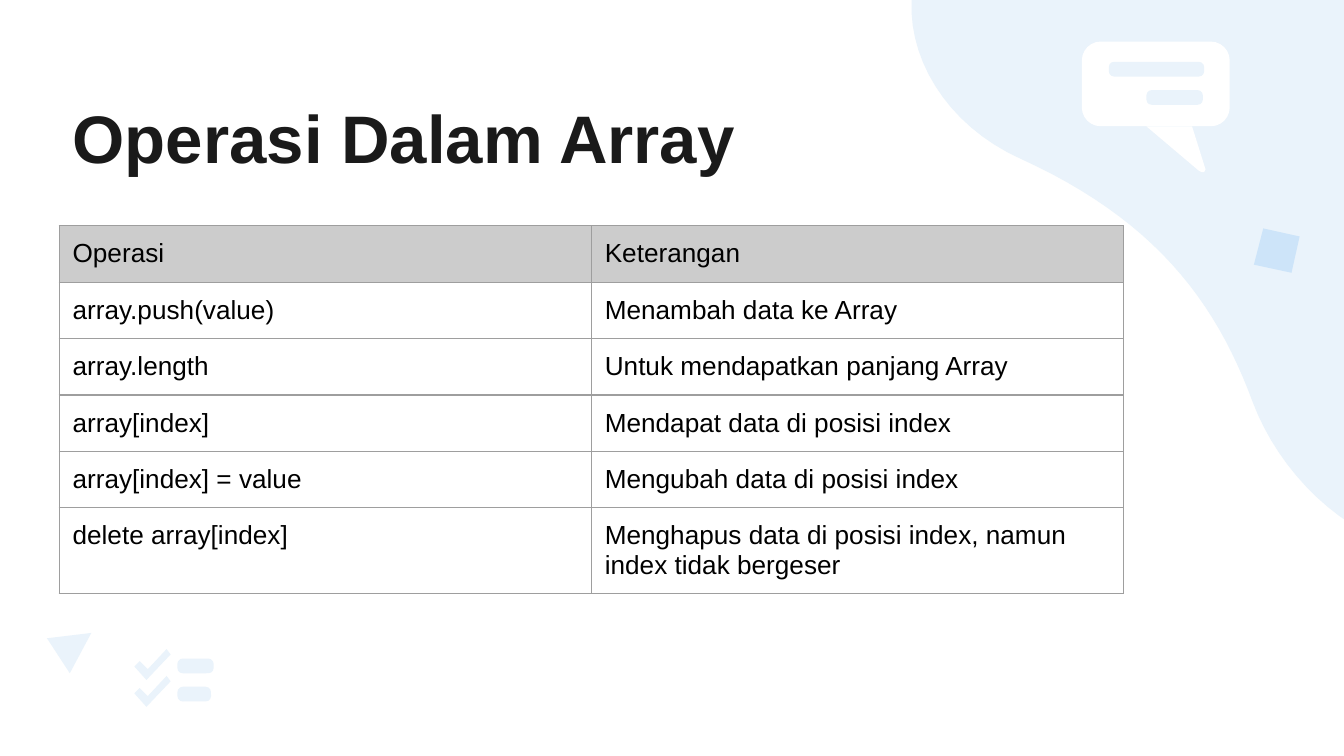
from lxml.etree import SubElement
from pptx import Presentation
from pptx.dml.color import RGBColor
from pptx.enum.shapes import MSO_SHAPE
from pptx.enum.text import MSO_ANCHOR, MSO_AUTO_SIZE, PP_ALIGN
from pptx.oxml.ns import qn
from pptx.util import Inches, Pt

WHITE = RGBColor(0xFF, 0xFF, 0xFF)
PALE_BLUE = RGBColor(0xEA, 0xF3, 0xFB)
SKY_BLUE = RGBColor(0xCD, 0xE4, 0xF9)
INK = RGBColor(0x1A, 0x1A, 0x1A)
BLACK = RGBColor(0, 0, 0)
HEADER_GREY = RGBColor(0xCC, 0xCC, 0xCC)
BORDER_GREY = RGBColor(0x9E, 0x9E, 0x9E)

ROWS = [
    ("Operasi", "Keterangan"),
    ("array.push(value)", "Menambah data ke Array"),
    ("array.length", "Untuk mendapatkan panjang Array"),
    ("array[index]", "Mendapat data di posisi index"),
    ("array[index] = value", "Mengubah data di posisi index"),
    ("delete array[index]",
     "Menghapus data di posisi index, namun index tidak bergeser"),
]

BLOB_START = (7.22, -0.81)
BLOB_CURVES = [
    ((7.38, -0.95), (7.61, -1.07), (7.88, -1.16)),
    ((9.43, -1.67), (11.06, -0.9), (11.78, -0.09)),
    ((13.18, 1.48), (12.7, 3.09), (11.86, 3.77)),
    ((11.76, 3.86), (11.64, 3.93), (11.53, 3.99)),
    ((10.51, 4.47), (9.61, 3.76), (9.32, 2.99)),
    ((9.04, 2.23), (8.58, 1.63), (7.59, 1.18)),
    ((6.77, 0.81), (6.45, -0.18), (7.22, -0.81)),
]
BUBBLE_TAIL = [(8.87, 0.94), (8.97, 1.26), (8.96, 1.28), (8.94, 1.28),
               (8.92, 1.27), (8.53, 0.94)]
CHECK = [(1.24, 4.83), (1.1, 4.98), (1.04, 4.92), (1, 4.96), (1.09, 5.06),
         (1.27, 4.87)]
TRIANGLE = [(0.68, 4.71), (0.35, 4.75), (0.52, 5.01)]
TILTED_SQUARE = [(9.4, 1.7), (9.33, 1.97), (9.61, 2.03), (9.67, 1.76)]


def flatten(start, curves, steps=24):
    """Return points along a chain of cubic Bezier curves."""
    points = [start]
    for c1, c2, end in curves:
        begin = points[-1]
        for i in range(1, steps + 1):
            t = i / steps
            u = 1 - t
            points.append(tuple(
                u**3 * a + 3 * u * u * t * b + 3 * u * t * t * c + t**3 * d
                for a, b, c, d in zip(begin, c1, c2, end)))
    return points


class SlideBuilder:
    def __init__(self, prs, font="Arial"):
        self.s = prs.slides.add_slide(prs.slide_layouts[5])
        self.font = font

    def paint(self, sp, color):
        sp.shadow.inherit = False
        sp.fill.solid()
        sp.fill.fore_color.rgb = color
        sp.line.fill.background()

    def style(self, p, size, color, bold=False):
        for r in p.runs:
            r.font.name = self.font
            r.font.size = Pt(size)
            r.font.bold = bold
            r.font.color.rgb = color

    def polygon(self, points, color):
        points = [(Inches(x), Inches(y)) for x, y in points]
        builder = self.s.shapes.build_freeform(*points[0])
        builder.add_line_segments(points[1:], close=True)
        self.paint(builder.convert_to_shape(), color)

    def rounded(self, x, y, w, h, radius, color):
        sp = self.s.shapes.add_shape(MSO_SHAPE.ROUNDED_RECTANGLE,
                                     *map(Inches, (x, y, w, h)))
        sp.adjustments[0] = radius / h
        self.paint(sp, color)

    def title(self, text, x, y, w, h):
        sp = self.s.shapes.title
        sp.left, sp.top, sp.width, sp.height = map(Inches, (x, y, w, h))
        tf = sp.text_frame
        tf.text = text
        tf.word_wrap = True
        tf.auto_size = MSO_AUTO_SIZE.NONE
        tf.vertical_anchor = MSO_ANCHOR.TOP
        tf.margin_left = tf.margin_right = Inches(0.1)
        tf.margin_top = tf.margin_bottom = Inches(0.1)
        p = tf.paragraphs[0]
        p.alignment = PP_ALIGN.LEFT
        p.line_spacing = 1.15
        self.style(p, 36, INK, bold=True)

    def borders(self, cell):
        tc_pr = cell._tc.get_or_add_tcPr()
        for side in ("a:lnL", "a:lnR", "a:lnT", "a:lnB"):
            ln = SubElement(tc_pr, qn(side), w=str(Pt(0.75)))
            fill = SubElement(ln, qn("a:solidFill"))
            SubElement(fill, qn("a:srgbClr"), val=str(BORDER_GREY))

    def table(self, rows, x, y, w, row_height):
        """Add a table whose rows grow with their text."""
        table = self.s.shapes.add_table(
            len(rows), len(rows[0]),
            *map(Inches, (x, y, w, row_height * len(rows)))).table
        table.horz_banding = False
        for i, texts in enumerate(rows):
            for j, text in enumerate(texts):
                cell = table.cell(i, j)
                cell.text = text
                cell.margin_left = cell.margin_right = Inches(0.1)
                cell.margin_top = cell.margin_bottom = Inches(0.1)
                self.style(cell.text_frame.paragraphs[0], 14, BLACK)
                self.borders(cell)
                if i == 0:
                    cell.fill.solid()
                    cell.fill.fore_color.rgb = HEADER_GREY
                else:
                    cell.fill.background()


def main():
    prs = Presentation()
    prs.slide_width = Inches(10)
    prs.slide_height = prs.slide_width * 9 // 16
    b = SlideBuilder(prs)

    b.polygon(flatten(BLOB_START, BLOB_CURVES), PALE_BLUE)
    b.rounded(8.05, 0.31, 1.1, 0.63, 0.14, WHITE)
    b.polygon(BUBBLE_TAIL, WHITE)
    for x, y, w in [(8.25, 0.46, 0.71), (8.53, 0.67, 0.42),
                    (1.32, 4.9, 0.27), (1.32, 5.11, 0.25)]:
        b.rounded(x, y, w, 0.11, 0.04, PALE_BLUE)
    for drop in (0, 0.2):
        b.polygon([(x, y + drop) for x, y in CHECK], PALE_BLUE)
    b.polygon(TRIANGLE, PALE_BLUE)
    b.polygon(TILTED_SQUARE, SKY_BLUE)

    b.title("Operasi Dalam Array", 0.44, 0.53, 6.43, 0.75)
    b.table(ROWS, 0.44, 1.68, 7.92, 0.42)
    prs.save("out.pptx")


if __name__ == "__main__":
    main()
